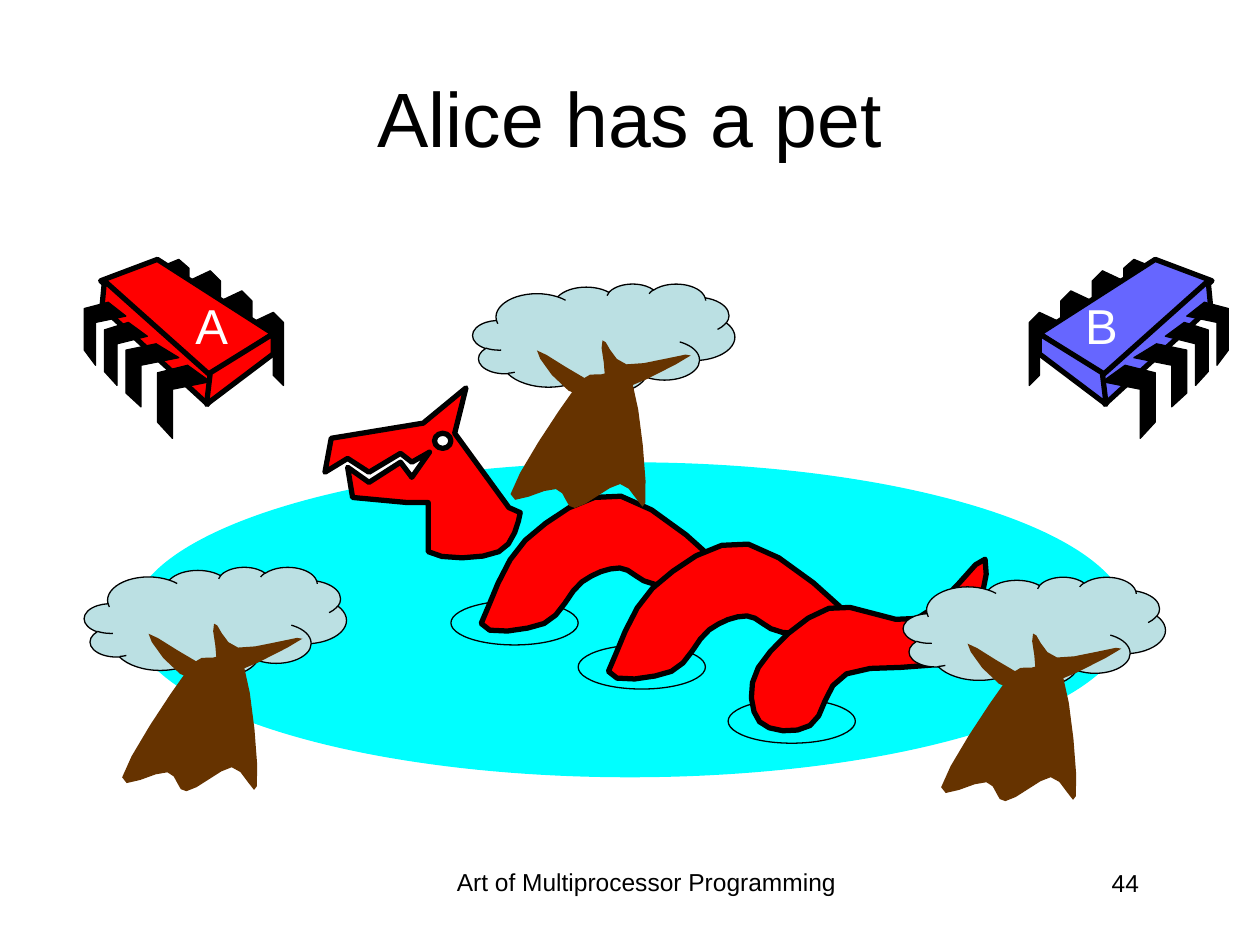
from pptx import Presentation
from pptx.dml.color import RGBColor
from pptx.enum.shapes import MSO_SHAPE
from pptx.enum.text import MSO_ANCHOR, PP_ALIGN
from pptx.util import Cm, Pt

BLACK = RGBColor(0x00, 0x00, 0x00)
WHITE = RGBColor(0xFF, 0xFF, 0xFF)
RED = RGBColor(0xFF, 0x00, 0x00)
BLUE = RGBColor(0x66, 0x66, 0xFF)
CYAN = RGBColor(0x00, 0xFF, 0xFF)
BROWN = RGBColor(0x66, 0x33, 0x00)
CLOUD = RGBColor(0xBB, 0xE0, 0xE3)

GRID = Cm(2.54) // 100
STEPS = 4
THIN, THICK = 0.75, 3
CHIP = 158

PIN = [(0, 8), (17, 0), (25, 8), (25, 58), (17, 50), (17, 17), (0, 25)]
STUB = [(58, 7), (75, 0), (83, 7), (83, 50), (75, 43), (75, 15), (58, 22)]
FACES = [
    [(58, 0), (150, 59), (98, 93), (13, 17)],
    [(16, 17), (100, 92), (98, 115), (14, 38)],
    [(150, 59), (150, 75), (97, 115), (100, 90)],
]
LEGS = [
    [(82, 84), (100, 97), (70, 103), (70, 142), (58, 129), (58, 90)],
    [(57, 67), (75, 78), (45, 84), (45, 117), (33, 106), (33, 72)],
    [(35, 50), (50, 61), (26, 67), (26, 100), (16, 89), (16, 56)],
    [(19, 34), (33, 45), (9, 50), (9, 84), (0, 72), (0, 39)],
]
HUMP = [
    (124, 187), (126, 198, 161, 192, 174, 187), (188, 181, 194, 161, 204, 154),
    (214, 147, 224, 143, 234, 143), (243, 143, 248, 154, 262, 156),
    (277, 157, 326, 164, 322, 152), (317, 141, 262, 91, 235, 86),
    (207, 81, 178, 104, 159, 121), (141, 138, 131, 173, 124, 187),
]
HEAD = [
    (146, 95), (103, 36), (112, 0), (78, 28), (5, 40), (0, 67), (18, 56),
    (35, 67), (60, 52), (69, 59), (83, 51), (69, 71), (60, 59), (35, 75),
    (18, 63), (22, 87), (65, 91), (82, 91), (82, 130),
    (91, 137, 126, 136, 138, 130), (150, 125, 154, 105, 155, 99),
]
TAIL = [
    (524, 136), (519, 131, 491, 177, 470, 183), (449, 190, 421, 168, 400, 175),
    (379, 181, 353, 207, 344, 222), (335, 237, 338, 257, 345, 265),
    (352, 273, 374, 275, 385, 268), (397, 262, 395, 236, 414, 227),
    (433, 217, 481, 228, 499, 213), (518, 197, 529, 141, 524, 136),
]
TRUNK = [
    (81, 83), (93, 68, 94, 73, 102, 72), (109, 71, 121, 63, 127, 80),
    (133, 97, 139, 161, 137, 174), (136, 187, 126, 158, 117, 159),
    (108, 160, 90, 177, 81, 178), (73, 179, 75, 165, 66, 163),
    (58, 161, 28, 180, 30, 167), (33, 153, 69, 99, 81, 83),
]
BRANCH = [
    (51, 53), (49, 55, 71, 90, 91, 91), (112, 92, 168, 61, 173, 57),
    (178, 52, 134, 66, 122, 64), (110, 62, 106, 42, 103, 45),
    (99, 47, 110, 78, 102, 80), (93, 81, 53, 51, 51, 53),
]


def shift(route, dx, dy):
    """Move every point of a route."""
    return [tuple(v + (dy if i % 2 else dx) for i, v in enumerate(step)) for step in route]


def trace(route):
    """Turn corners and cubic curves into a list of points."""
    points = []
    for step in route:
        if len(step) == 2:
            points.append(step)
            continue
        start = points[-1]
        for n in range(1, STEPS + 1):
            t = n / STEPS
            u = 1 - t
            points.append(tuple(
                u**3 * start[k] + 3 * u * u * t * step[k]
                + 3 * u * t * t * step[k + 2] + t**3 * step[k + 4]
                for k in (0, 1)))
    return points


def paint(shape, fill=None, line=None):
    """Set fill, black outline width and no shadow."""
    shape.shadow.inherit = False
    if fill is None:
        shape.fill.background()
    else:
        shape.fill.solid()
        shape.fill.fore_color.rgb = fill
    if line is None:
        shape.line.fill.background()
    else:
        shape.line.color.rgb = BLACK
        shape.line.width = Pt(line)


def draw(shapes, left, top, route, fill, line=None):
    """Draw a closed outline from a corner of its region."""
    points = [(x * GRID, y * GRID) for x, y in trace(route)]
    pen = shapes.build_freeform(*points[0], scale=1.0)
    pen.add_line_segments(points[1:], close=True)
    paint(pen.convert_to_shape(left, top), fill, line)


def place(shapes, kind, left, top, box, fill=None, line=None):
    """Add a preset shape at a grid box inside its region."""
    x, y, wide, high = (v * GRID for v in box)
    shape = shapes.add_shape(kind, left + x, top + y, wide, high)
    paint(shape, fill, line)
    return shape


def write(frame, text, size, color, align):
    """Fill a text frame with one run."""
    para = frame.paragraphs[0]
    para.alignment = align
    run = para.add_run()
    run.text = text
    run.font.name = "Arial"
    run.font.size = Pt(size)
    run.font.color.rgb = color


def label(slide, left, top, width, height, text, size, color, align, wrap=True):
    """Add a text box."""
    frame = slide.shapes.add_textbox(left, top, width, height).text_frame
    frame.word_wrap = wrap
    write(frame, text, size, color, align)


def chip(slide, left, top, name, color, flip=False):
    """Draw a chip with its letter, mirrored on request."""
    shapes = slide.shapes.add_group_shape().shapes
    pins = [shift(PIN, x, y) for x, y in ((133, 42), (108, 25), (83, 9))]
    parts = [(route, BLACK, THIN) for route in pins + [STUB]]
    parts += [(route, color, THICK) for route in FACES]
    parts += [(route, BLACK, THIN) for route in LEGS]
    for route, fill, line in parts:
        if flip:
            route = [(CHIP - x, y) for x, y in route]
        draw(shapes, left, top, route, fill, line)
    x = CHIP - 78 - 46 if flip else 78
    label(slide, left + x * GRID, top + 24 * GRID, 46 * GRID, 57 * GRID,
          name, 28, WHITE, PP_ALIGN.RIGHT, False)


def dragon(slide, left, top):
    """Draw the pet with the ripples around it."""
    shapes = slide.shapes.add_group_shape().shapes
    for x, y in ((201, 204), (320, 247), (100, 169)):
        place(shapes, MSO_SHAPE.OVAL, left, top, (x, y, 101, 35), line=THIN)
    for route in (HUMP, shift(HUMP, 101, 38), HEAD):
        draw(shapes, left, top, route, RED, THICK)
    place(shapes, MSO_SHAPE.OVAL, left, top, (87, 36, 13, 12), WHITE, THICK)
    draw(shapes, left, top, TAIL, RED, THICK)


def tree(slide, left, top):
    """Draw a tree with a cloud for its crown."""
    shapes = slide.shapes.add_group_shape().shapes
    crown = place(shapes, MSO_SHAPE.CLOUD_CALLOUT, left, top, (0, 0, 208, 87), CLOUD, THIN)
    crown.adjustments[0], crown.adjustments[1] = 0.018, 0.493
    for route in (TRUNK, BRANCH):
        draw(shapes, left, top, route, BROWN)


def head(slide, left, top, width, height):
    """Place and fill the title."""
    title = slide.shapes.title
    title.left, title.top, title.width, title.height = left, top, width, height
    title.text_frame.vertical_anchor = MSO_ANCHOR.MIDDLE
    write(title.text_frame, "Alice has a pet", 44, BLACK, PP_ALIGN.CENTER)


def main():
    """Build the slide."""
    deck = Presentation()
    deck.slide_width, deck.slide_height = Cm(25.4), Cm(19.05)
    slide = deck.slides.add_slide(deck.slide_layouts[5])
    head(slide, Cm(1.27), Cm(0.76), Cm(22.86), Cm(3.18))
    chip(slide, Cm(1.7), Cm(5.23), "A", RED)
    chip(slide, Cm(20.75), Cm(5.23), "B", BLUE, True)
    place(slide.shapes, MSO_SHAPE.OVAL, Cm(2.64), Cm(9.32), (0, 0, 792, 250), CYAN)
    dragon(slide, Cm(6.55), Cm(7.82))
    for left, top in ((9.53, 5.72), (18.21, 11.63), (1.7, 11.43)):
        tree(slide, Cm(left), Cm(top))
    label(slide, Cm(8.69), Cm(17.35), Cm(8.69), Cm(1.32),
          "Art of Multiprocessor Programming", 14, BLACK, PP_ALIGN.CENTER)
    label(slide, Cm(17.93), Cm(17.37), Cm(5.28), Cm(1.27), "44", 14, BLACK, PP_ALIGN.RIGHT)
    deck.save("out.pptx")


if __name__ == "__main__":
    main()
